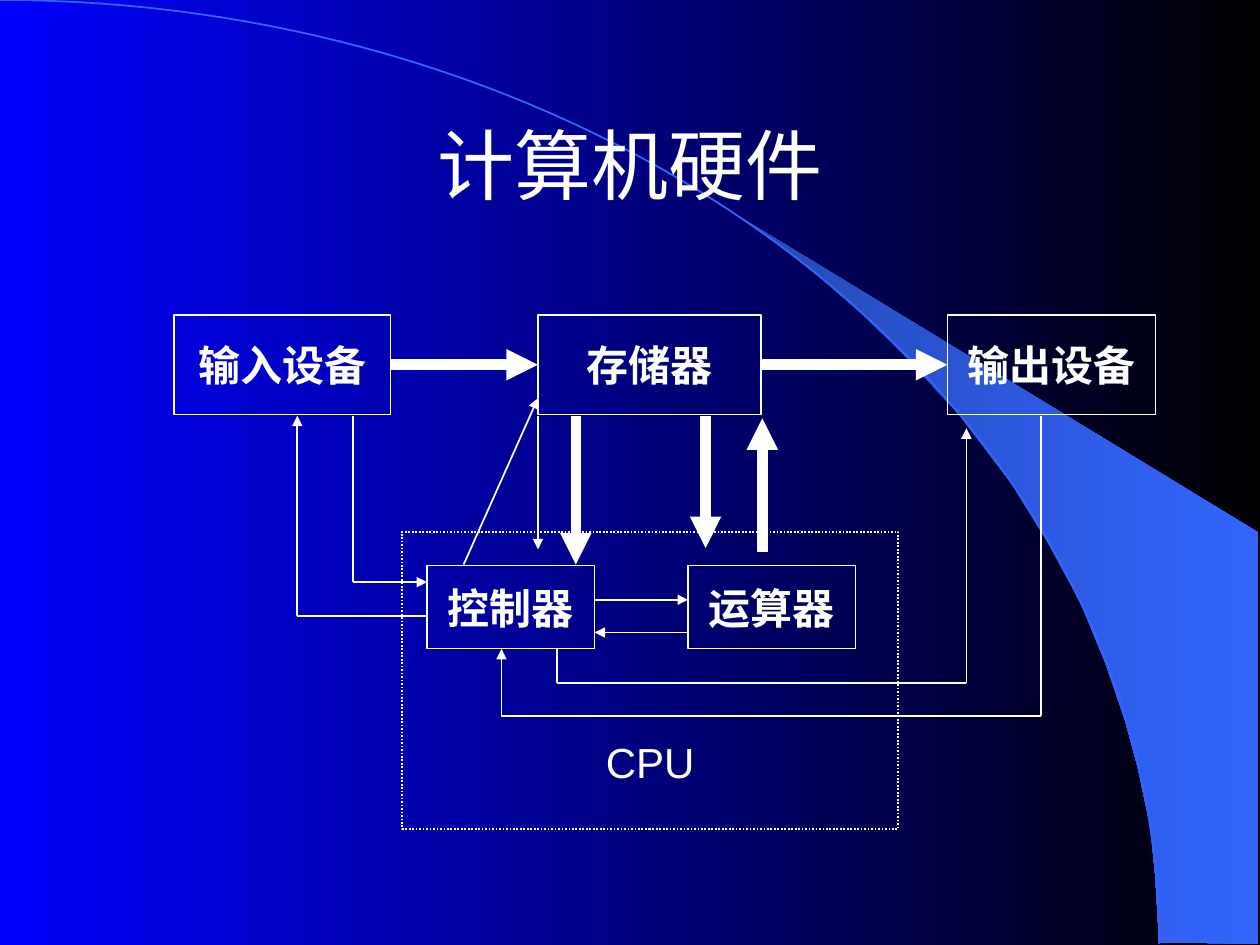
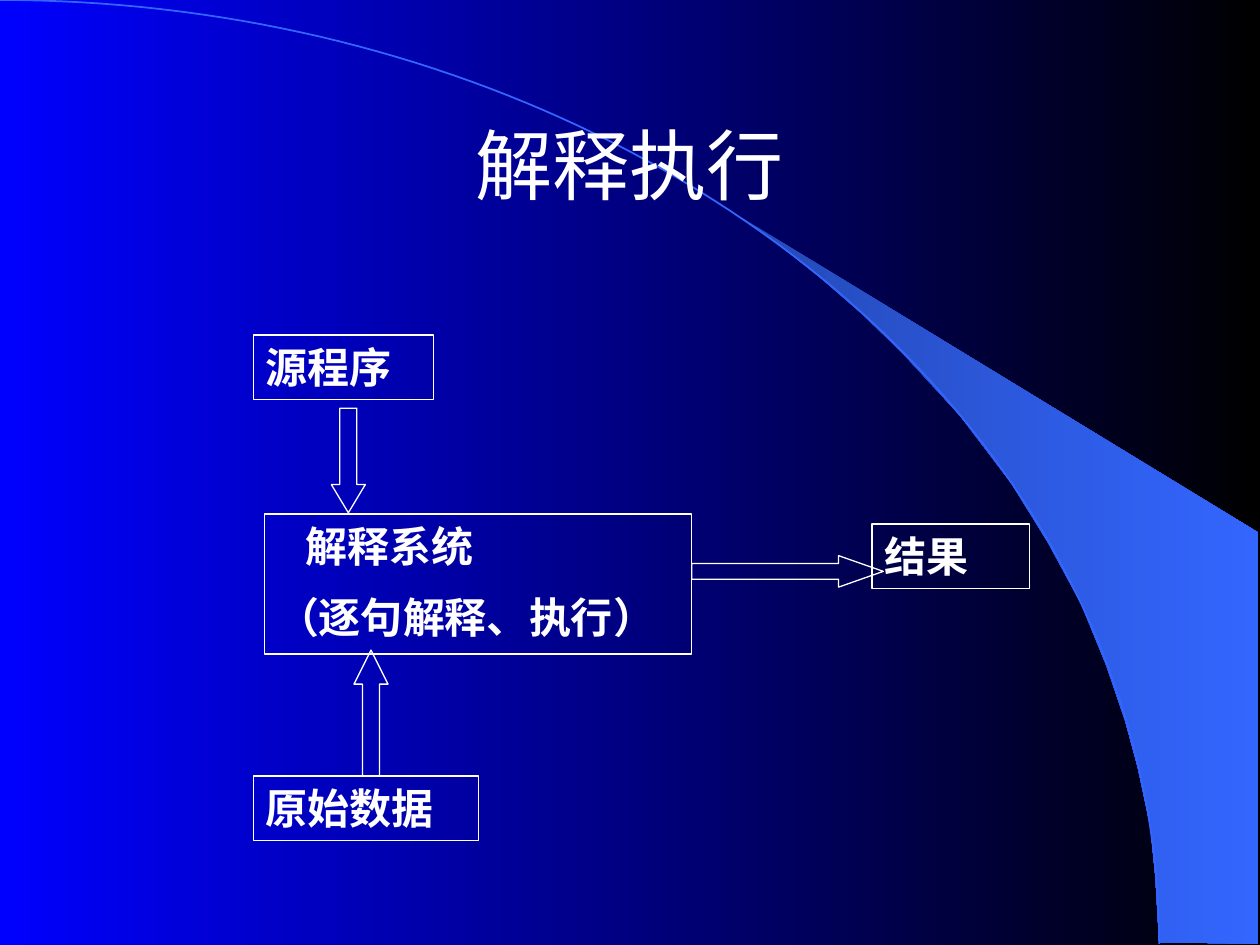
from itertools import pairwise
from math import cos, pi, sin

from lxml.etree import SubElement
from pptx import Presentation
from pptx.dml.color import RGBColor
from pptx.enum.dml import MSO_LINE
from pptx.enum.shapes import MSO_CONNECTOR, MSO_SHAPE as Geo
from pptx.enum.text import MSO_ANCHOR as Anchor, PP_ALIGN as Align
from pptx.oxml.ns import qn
from pptx.util import Inches, Pt

WHITE = RGBColor(0xFF, 0xFF, 0xFF)
BLACK = RGBColor(0x00, 0x00, 0x00)
BLUE = RGBColor(0x00, 0x00, 0xFF)
SKY = RGBColor(0x33, 0x66, 0xFF)
DEEP_SKY = RGBColor(0x24, 0x49, 0xB6)

TITLE_FONT = {"size": Pt(44), "name": "Arial"}
LABEL_FONT = {"size": Pt(24), "name": "Times New Roman", "bold": True}
CPU_FONT = {"size": Pt(24), "name": "Arial"}
CENTRED = {"word_wrap": False, "vertical_anchor": Anchor.MIDDLE}
WRAPPED_MIDDLE = {"word_wrap": True, "vertical_anchor": Anchor.MIDDLE}
WRAPPED_TOP = {"word_wrap": True, "vertical_anchor": Anchor.TOP}

TITLE_PLACE = (0.75, 0.67, 8.5, 1.25)
ARC_WIDTH, ARC_HEIGHT, ARC_STEPS = 9.2, 7.49, 90
BEAM = [
    (9.2, 7.48), (9.99, 7.49), (9.99, 4.23), (5.89, 1.73), (6.24, 1.99),
    (6.53, 2.22), (6.85, 2.5), (7.16, 2.8), (7.62, 3.3), (8.03, 3.84),
    (8.32, 4.31), (8.58, 4.79), (8.78, 5.28), (8.93, 5.72), (9.03, 6.09),
    (9.13, 6.56), (9.17, 6.96), (9.2, 7.48),
]

HARDWARE_TITLE = "计算机硬件"
DEVICE_ROWS = [
    (2.5, 0.79, [("存储器", 4.27, 1.77), ("输入设备", 1.38, 1.72), ("输出设备", 7.52, 1.65)]),
    (4.49, 0.66, [("控制器", 3.39, 1.33), ("运算器", 5.46, 1.33)]),
]
DATA_LINE, CONTROL_LINE = 6, 1
DATA_LINKS = [("输入设备", "存储器"), ("存储器", "输出设备")]
DATA_ROUTES = [
    [(4.57, 3.3), (4.57, 4.48)],
    [(5.6, 3.3), (5.6, 4.35)],
    [(6.05, 4.38), (6.05, 3.32)],
]
CONTROL_ROUTES = [
    [(4.27, 3.3), (4.27, 4.36)],
    [(3.68, 4.48), (4.27, 3.16)],
    [(4.72, 4.76), (5.46, 4.76)],
    [(5.46, 5.02), (4.72, 5.02)],
    [(2.8, 3.3), (2.8, 4.62), (3.39, 4.62)],
    [(3.39, 4.89), (2.36, 4.89), (2.36, 3.3)],
    [(4.42, 5.15), (4.42, 5.42), (7.67, 5.42), (7.67, 3.4)],
    [(8.26, 3.3), (8.26, 5.68), (3.98, 5.68), (3.98, 5.15)],
]
CPU_FRAME = (3.19, 4.22, 3.94, 2.36)
CPU_LABEL = ("CPU", (4.45, 5.8, 1.42, 0.5))

INTERPRET_TITLE = "解释执行"
STAGES = [
    ([("源程序", 0)], (2.01, 2.66, 1.43, 0.51)),
    ([("解释系统", 0.23), ("（逐句解释、执行）", 0)], (2.1, 4.08, 3.39, 1.11)),
    ([("原始数据", 0)], (2.01, 6.16, 1.79, 0.51)),
    ([("结果", 0)], (6.92, 4.16, 1.25, 0.51)),
]
STAGE_ARROWS = [
    (Geo.DOWN_ARROW, (2.63, 3.24, 0.27, 0.83), 0.83),
    (Geo.UP_ARROW, (2.81, 5.16, 0.27, 1), 1),
    (Geo.RIGHT_ARROW, (5.49, 4.41, 1.52, 0.25), 1.42),
]


def inches(numbers):
    return [Inches(number) for number in numbers]


def apply(target, values):
    for name, value in values.items():
        setattr(target, name, value)


def paint_gradient(fill, *colours):
    fill.gradient()
    fill.gradient_angle = 0
    for stop, colour in zip(fill.gradient_stops, colours):
        stop.color.rgb = colour


def draw_line(line, width, colour=WHITE):
    line.color.rgb = colour
    line.width = Pt(width)


def write(frame, lines, font, layout, align):
    apply(frame, layout)
    for number, (wording, indent) in enumerate(lines):
        paragraph = frame.add_paragraph() if number else frame.paragraphs[0]
        paragraph.alignment = align
        if number:
            paragraph.space_before = Pt(12)
        if indent:
            paragraph._p.get_or_add_pPr().set("marL", str(Inches(indent)))
        run = paragraph.add_run()
        run.text = wording
        apply(run.font, font)
        run.font.color.rgb = WHITE


def add_outline(slide, geometry, place, width=0.75):
    outline = slide.shapes.add_shape(geometry, *inches(place))
    outline.shadow.inherit = False
    outline.fill.background()
    draw_line(outline.line, width)
    return outline


def add_label(slide, wording, place, font, layout):
    label = slide.shapes.add_textbox(*inches(place))
    write(label.text_frame, [(wording, 0)], font, layout, Align.CENTER)


def add_path(slide, points, close):
    start, *rest = [inches(point) for point in points]
    builder = slide.shapes.build_freeform(*start)
    builder.add_line_segments(rest, close=close)
    path = builder.convert_to_shape()
    path.shadow.inherit = False
    return path


def add_segment(slide, start, end, width, arrow):
    segment = slide.shapes.add_connector(
        MSO_CONNECTOR.STRAIGHT, *inches(start), *inches(end))
    draw_line(segment.line, width)
    if arrow:
        SubElement(segment.line._get_or_add_ln(), qn("a:tailEnd"), type="triangle")
    SubElement(segment._element.spPr, qn("a:effectLst"))
    return segment


def add_route(slide, points, width):
    for start, end in pairwise(points):
        add_segment(slide, start, end, width, arrow=end == points[-1])


def add_themed_slide(deck, title):
    slide = deck.slides.add_slide(deck.slide_layouts[6])
    beam = add_path(slide, BEAM, close=True)
    paint_gradient(beam.fill, DEEP_SKY, SKY)
    beam.line.fill.background()
    angles = [pi / 2 * step / ARC_STEPS for step in range(ARC_STEPS + 1)]
    arc = add_path(slide, [(ARC_WIDTH * sin(a), ARC_HEIGHT * (1 - cos(a))) for a in angles],
                   close=False)
    arc.fill.background()
    draw_line(arc.line, 1, SKY)
    add_label(slide, title, TITLE_PLACE, TITLE_FONT, WRAPPED_MIDDLE)
    return slide


def build_hardware(deck):
    slide = add_themed_slide(deck, HARDWARE_TITLE)
    devices = {}
    for top, height, row in DEVICE_ROWS:
        for name, left, width in row:
            device = add_outline(slide, Geo.RECTANGLE, (left, top, width, height))
            write(device.text_frame, [(name, 0)], LABEL_FONT, CENTRED, Align.CENTER)
            devices[name] = device
    for source, target in DATA_LINKS:
        link = add_segment(slide, (0, 0), (1, 1), DATA_LINE, arrow=True)
        link.begin_connect(devices[source], 3)
        link.end_connect(devices[target], 1)
    for width, routes in ((DATA_LINE, DATA_ROUTES), (CONTROL_LINE, CONTROL_ROUTES)):
        for route in routes:
            add_route(slide, route, width)
    cpu = add_outline(slide, Geo.RECTANGLE, CPU_FRAME, 1)
    cpu.line.dash_style = MSO_LINE.ROUND_DOT
    add_label(slide, *CPU_LABEL, CPU_FONT, WRAPPED_TOP)


def build_interpretation(deck):
    slide = add_themed_slide(deck, INTERPRET_TITLE)
    for lines, place in STAGES:
        stage = add_outline(slide, Geo.RECTANGLE, place)
        write(stage.text_frame, lines, LABEL_FONT, WRAPPED_TOP, Align.LEFT)
    for geometry, place, head in STAGE_ARROWS:
        arrow = add_outline(slide, geometry, place)
        arrow.adjustments[0] = 0.5
        arrow.adjustments[1] = head


def main():
    deck = Presentation()
    apply(deck, {"slide_width": Inches(10), "slide_height": Inches(7.5)})
    paint_gradient(deck.slide_master.background.fill, BLUE, BLACK)
    build_hardware(deck)
    build_interpretation(deck)
    deck.save("out.pptx")


if __name__ == "__main__":
    main()
